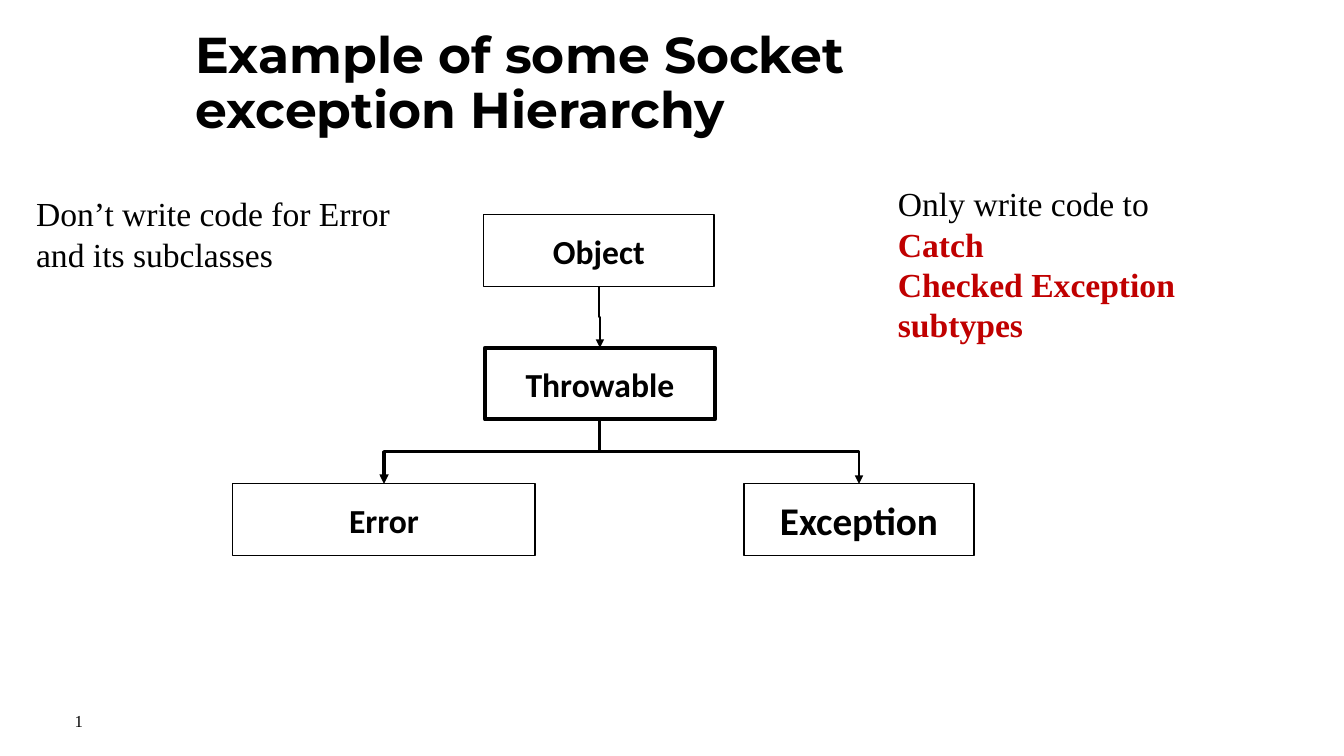
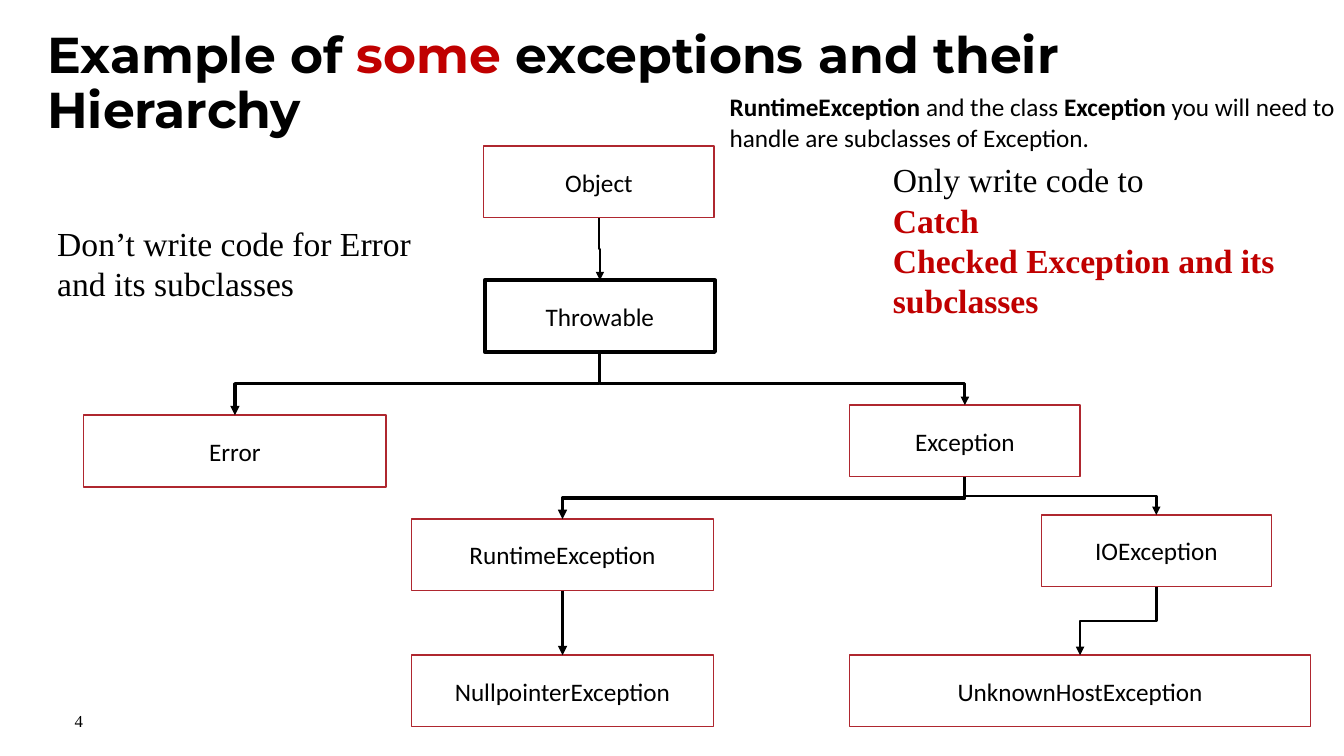
"""Build two slides showing Java exception hierarchies."""
from lxml.etree import SubElement
from pptx import Presentation
from pptx.dml.color import RGBColor
from pptx.enum.shapes import MSO_CONNECTOR as Connector, MSO_SHAPE as Shape
from pptx.enum.text import MSO_ANCHOR as Anchor, PP_ALIGN as Align
from pptx.oxml.ns import qn
from pptx.util import Pt

BLACK, WHITE, RED, MAROON = "000000", "FFFFFF", "C00000", "AF272F"
HEADING, SERIF, SANS = "Montserrat", "Times New Roman", "Calibri"
BOX_HEIGHT, NARROW, WIDE, WIDEST = 51.2, 164.4, 216, 329
NOTE_WIDTH = 295.2
WARNING = "Don’t write code for Error and its subclasses"


def paint(color_format, color):
    color_format.rgb = RGBColor.from_string(color)


def write(shape, lines, font, size, align=Align.LEFT, spacing=None, anchor=Anchor.TOP, inset=7.2):
    frame = shape.text_frame
    frame.word_wrap = True
    frame.vertical_anchor = anchor
    frame.margin_left = Pt(inset)
    for index, spans in enumerate(lines):
        para = frame.paragraphs[0] if index == 0 else frame.add_paragraph()
        para.alignment = align
        para.line_spacing = spacing
        para.font.name = font
        para.font.size = Pt(size)
        for text, color, bold in spans:
            span = para.add_run()
            span.text = text
            span.font.bold = bold
            paint(span.font.color, color)


slides = [
    {
        "number": "1",
        "title": (139.7, 576, [("Example of some Socket exception Hierarchy", BLACK, True)]),
        "border": BLACK,
        "bold": True,
        "boxes": [
            ("Object", 345.6, 153.4, NARROW, 24),
            ("Throwable", 346.3, 248.4, NARROW, 24),
            ("Exception", 531.4, 345.6, NARROW, 28),
            ("Error", 166.3, 345.6, WIDE, 24),
        ],
        "arrows": [
            ("Object", "Throwable", 2, 0.5),
            ("Throwable", "Exception", 2, 0.5),
            ("Throwable", "Error", 2.25, 0.5),
        ],
        "advice": (634.3, 127.4, "Checked Exception subtypes"),
        "warning": (18.7, 134.6),
        "remark": [],
    },
    {
        "number": "4",
        "title": (33.8, 874.1, [
            ("Example of ", BLACK, True),
            ("some", RED, True),
            (" exceptions and their Hierarchy", BLACK, True),
        ]),
        "border": MAROON,
        "bold": False,
        "boxes": [
            ("Object", 345.6, 104.4, NARROW, 18),
            ("Throwable", 346.3, 200.2, NARROW, 18),
            ("Exception", 607, 289.4, NARROW, 18),
            ("IOException", 743.8, 367.9, NARROW, 18),
            ("UnknownHostException", 607, 468, WIDEST, 18),
            ("RuntimeException", 293.8, 370.8, WIDE, 18),
            ("Error", 59.8, 296.6, WIDE, 18),
            ("NullpointerException", 293.8, 468, WIDE, 18),
        ],
        "arrows": [
            ("Object", "Throwable", 2, 0.5),
            ("Throwable", "Exception", 2, 0.59),
            ("Exception", "IOException", 2, 0.5),
            ("IOException", "UnknownHostException", 2, 0.5),
            ("Exception", "RuntimeException", 2.25, 0.5),
            ("Throwable", "Error", 2.25, 0.5),
            ("RuntimeException", "NullpointerException", 2.25, 0.5),
        ],
        "advice": (630.7, 110.2, "Checked Exception and its subclasses"),
        "warning": (33.8, 155.5),
        "remark": [
            ("RuntimeException", BLACK, True),
            (" and the class ", BLACK, False),
            ("Exception", BLACK, True),
            (" you will need to handle are subclasses of Exception.", BLACK, False),
        ],
    },
]

deck = Presentation()
deck.slide_width, deck.slide_height = Pt(960), Pt(540)

for content in slides:
    page = deck.slides.add_slide(deck.slide_layouts[6])
    shapes = page.shapes

    number = shapes.add_textbox(Pt(53.3), Pt(500.4), Pt(324), Pt(28.8))
    write(number, [[(content["number"], BLACK, False)]], SERIF, 12, anchor=Anchor.MIDDLE, inset=0)

    left, width, spans = content["title"]
    title = shapes.add_textbox(Pt(left), Pt(15.1), Pt(width), Pt(90.7))
    write(title, [spans], HEADING, 36, spacing=0.9, anchor=Anchor.MIDDLE, inset=0)

    boxes = {}
    for name, left, top, width, size in content["boxes"]:
        box = shapes.add_shape(Shape.RECTANGLE, Pt(left), Pt(top), Pt(width), Pt(BOX_HEIGHT))
        box.shadow.inherit = False
        box.fill.solid()
        paint(box.fill.fore_color, WHITE)
        key_box = name == "Throwable"
        paint(box.line.color, BLACK if key_box else content["border"])
        box.line.width = Pt(2.75 if key_box else 1)
        label = [[(name, BLACK, content["bold"])]]
        write(box, label, SANS, size, Align.CENTER, anchor=Anchor.MIDDLE)
        boxes[name] = box

    for start, end, weight, bend in content["arrows"]:
        parent, child = boxes[start], boxes[end]
        x1, y1 = parent.left + parent.width // 2, parent.top + parent.height
        x2, y2 = child.left + child.width // 2, child.top
        arrow = shapes.add_connector(Connector.ELBOW, x1, y1, x2, y2)
        arrow.begin_connect(parent, 2)
        arrow.end_connect(child, 0)
        arrow.width, arrow.height = y2 - y1, abs(x2 - x1)
        arrow.left = (x1 + x2 - arrow.width) // 2
        arrow.top = (y1 + y2 - arrow.height) // 2
        properties = arrow.element.spPr
        rightward = x2 > x1
        frame = properties.find(qn("a:xfrm"))
        frame.set("rot", "16200000" if rightward else "5400000")
        frame.set("flipH", "1" if rightward else "0")
        frame.set("flipV", "0")
        guides = properties.find(qn("a:prstGeom")).find(qn("a:avLst"))
        SubElement(guides, qn("a:gd"), name="adj1", fmla=f"val {round(bend * 100000)}")
        arrow.line.width = Pt(weight)
        paint(arrow.line.color, BLACK)
        SubElement(properties.find(qn("a:ln")), qn("a:tailEnd"), type="triangle")
        SubElement(properties, qn("a:effectLst"))

    left, top, target = content["advice"]
    advice = shapes.add_textbox(Pt(left), Pt(top), Pt(NOTE_WIDTH), Pt(123.8))
    lines = [("Only write code to", BLACK, False), ("Catch", RED, True), (target, RED, True)]
    write(advice, [[line] for line in lines], SERIF, 24)

    left, top = content["warning"]
    warning = shapes.add_textbox(Pt(left), Pt(top), Pt(NOTE_WIDTH), Pt(65.5))
    write(warning, [[(WARNING, BLACK, False)]], SERIF, 24)

    if content["remark"]:
        remark = shapes.add_textbox(Pt(514.1), Pt(61.9), Pt(476.6), Pt(51.1))
        write(remark, [content["remark"]], SANS, 18)

deck.save("out.pptx")
